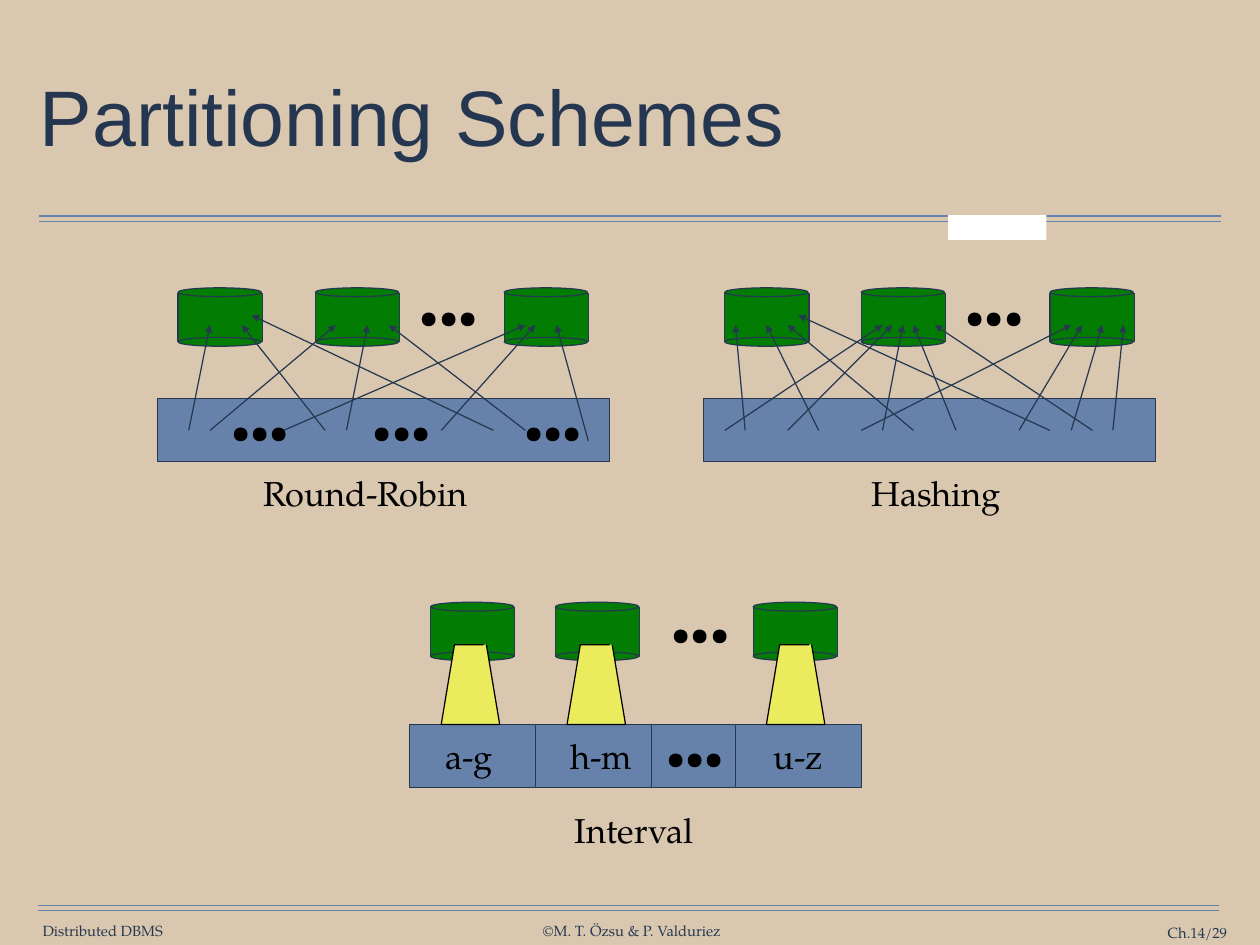
"""Build a slide that compares round-robin, hashing and interval partitioning."""
from lxml import etree
from pptx import Presentation
from pptx.dml.color import RGBColor
from pptx.enum.shapes import MSO_CONNECTOR, MSO_SHAPE
from pptx.enum.text import MSO_ANCHOR, PP_ALIGN
from pptx.oxml.ns import qn
from pptx.util import Inches, Pt

SAND = RGBColor(0xD9, 0xC8, 0xAF)
BLUE = RGBColor(0x66, 0x82, 0xAA)
NAVY = RGBColor(0x26, 0x37, 0x50)
TITLE_NAVY = RGBColor(0x25, 0x37, 0x50)
GREEN = RGBColor(0x03, 0x7C, 0x03)
YELLOW = RGBColor(0xEA, 0xEC, 0x5E)
WHITE = RGBColor(0xFF, 0xFF, 0xFF)
BLACK = RGBColor(0, 0, 0)
SERIF = "TeX Gyre Pagella"
DOTS = "•••"

deck = Presentation()
deck.slide_width, deck.slide_height = Inches(14.22), Inches(10.67)
page = deck.slides.add_slide(deck.slide_layouts[6])
page.background.fill.solid()
page.background.fill.fore_color.rgb = SAND


def paint(shape, fill, line):
    shape.shadow.inherit = False
    shape.fill.solid()
    shape.fill.fore_color.rgb = fill
    if line is None:
        shape.line.fill.background()
    else:
        shape.line.color.rgb = line
        shape.line.width = Pt(1)


def add_line(start, end, color, arrow=False):
    line = page.shapes.add_connector(
        MSO_CONNECTOR.STRAIGHT, *[Inches(value) for value in (*start, *end)])
    line.line.color.rgb = color
    line.line.width = Pt(1)
    if arrow:
        etree.SubElement(line.line._get_or_add_ln(), qn("a:tailEnd"), type="triangle")
    etree.SubElement(line._element.spPr, qn("a:effectLst"))


for left, right, top in [(0.44, 13.78, 2.44), (0.43, 13.76, 10.22)]:
    for y in (top, top + 0.06):
        add_line((left, y), (right, y), BLUE)

blocks = [
    (10.7, 2.43, 1.11, 0.28, WHITE, None),
    (1.78, 4.5, 5.1, 0.71, BLUE, NAVY),
    (7.94, 4.5, 5.1, 0.71, BLUE, NAVY),
    (4.62, 8.18, 5.1, 0.71, BLUE, NAVY),
]
for *frame, fill, outline in blocks:
    block = page.shapes.add_shape(MSO_SHAPE.RECTANGLE, *map(Inches, frame))
    paint(block, fill, outline)

drum_rows = [
    (3.25, (2.01, 3.56, 5.69, 8.18, 9.72, 11.85)),
    (6.8, (4.86, 6.27, 8.5)),
]
drum_parts = [
    (MSO_SHAPE.RECTANGLE, 0.06, 0.95, 0.55),
    (MSO_SHAPE.OVAL, 0.56, 0.94, 0.1),
    (MSO_SHAPE.OVAL, 0, 0.94, 0.1),
]
for top, lefts in drum_rows:
    for left in lefts:
        drum = page.shapes.add_group_shape()
        for kind, drop, width, height in drum_parts:
            part = drum.shapes.add_shape(
                kind, Inches(left), Inches(top + drop), Inches(width), Inches(height))
            paint(part, GREEN, NAVY)

round_robin_arrows = [
    (2.13, 2.37), (2.37, 3.79), (3.67, 2.73), (3.2, 5.93), (3.91, 4.15),
    (4.98, 6.04), (5.93, 4.39),
]
hashing_arrows = [
    (8.18, 9.96), (8.41, 8.3), (9.24, 8.65), (8.89, 10.07), (9.72, 12.09),
    (9.96, 10.19), (10.31, 8.89), (10.79, 10.31), (11.5, 12.21),
    (12.09, 12.44), (12.33, 10.55), (12.56, 12.68),
]
for tail_x, head_x in round_robin_arrows + hashing_arrows:
    add_line((tail_x, 4.86), (head_x, 3.67), NAVY, arrow=True)
for tail_x, head_x in [(5.57, 2.84), (11.85, 9.01)]:
    add_line((tail_x, 4.86), (head_x, 3.56), NAVY, arrow=True)
add_line((6.64, 4.98), (6.28, 3.67), NAVY, arrow=True)

for x in (6.04, 7.35, 8.3):
    add_line((x, 8.18), (x, 8.89), NAVY)

for left in (4.98, 6.4, 8.65):
    outline = [(0.48, 7.28), (0.15, 7.28), (0, 8.18), (0.66, 8.18), (0.51, 7.28)]
    points = [(Inches(left + x), Inches(y)) for x, y in outline]
    builder = page.shapes.build_freeform(*points[0])
    builder.add_line_segments(points[1:], close=False)
    paint(builder.convert_to_shape(), YELLOW, BLACK)

title_format = {"size": Pt(64), "name": "Arial"}
label_format = {"size": Pt(28), "name": SERIF}
footer_format = {"size": Pt(12), "name": SERIF}
texts = [
    ("Partitioning Schemes", 0.45, 0.55, 13.32, 1.64, title_format, TITLE_NAVY, PP_ALIGN.LEFT),
    ("Distributed DBMS", 0.47, 10.41, 1.38, 0.2, footer_format, NAVY, PP_ALIGN.CENTER),
    ("©M. T. Özsu & P. Valduriez", 6.11, 10.41, 2.04, 0.2, footer_format, NAVY, PP_ALIGN.CENTER),
    ("Ch.14/29", 12.31, 10.43, 1.54, 0.2, footer_format, NAVY, PP_ALIGN.RIGHT),
]
labels = [
    ("Round-Robin", 2.96, 5.33, 2.33),
    ("Hashing", 9.82, 5.33, 1.49),
    ("Interval", 6.48, 9.13, 1.36),
    ("a-g", 5.02, 8.3, 0.55),
    ("h-m", 6.43, 8.3, 0.71),
    ("u-z", 8.73, 8.3, 0.56),
]
dot_places = [
    (2.58, 4.62), (4.18, 4.62), (5.89, 4.62), (4.71, 3.32),
    (10.87, 3.32), (7.55, 6.9), (7.49, 8.3),
]
labels += [(DOTS, left, top, 0.71) for left, top in dot_places]
texts += [(*label, 0.47, label_format, BLACK, PP_ALIGN.CENTER) for label in labels]

for words, left, top, width, height, font_format, color, alignment in texts:
    box = page.shapes.add_textbox(Inches(left), Inches(top), Inches(width), Inches(height))
    frame = box.text_frame
    frame_format = {
        "margin_left": 0, "margin_top": 0, "margin_right": 0, "margin_bottom": 0,
        "word_wrap": alignment != PP_ALIGN.CENTER,
        "vertical_anchor": MSO_ANCHOR.TOP if font_format is label_format else MSO_ANCHOR.MIDDLE,
    }
    for name, value in frame_format.items():
        setattr(frame, name, value)
    para = frame.paragraphs[0]
    para.alignment = alignment
    if font_format is title_format:
        para.line_spacing = 0.9
    span = para.add_run()
    span.text = words
    for name, value in font_format.items():
        setattr(span.font, name, value)
    span.font.color.rgb = color

deck.save("out.pptx")
